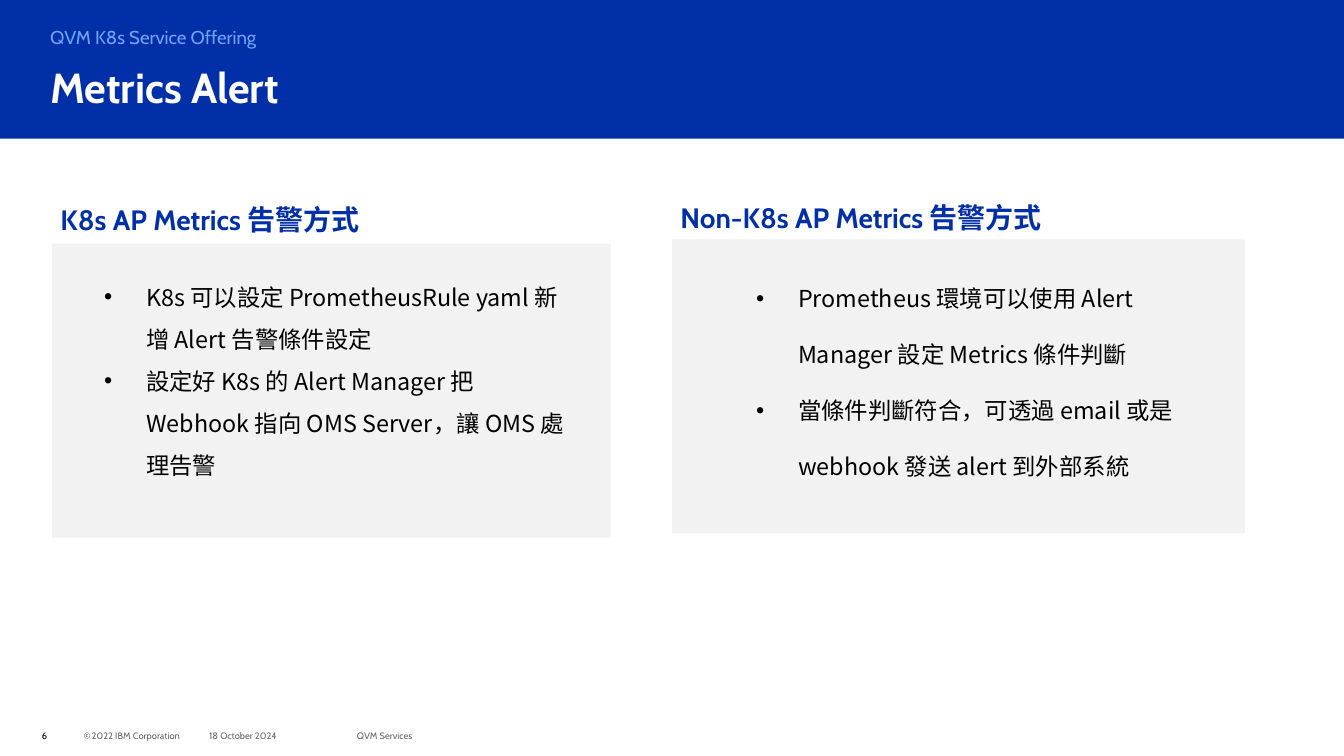
from dataclasses import dataclass
from lxml import etree
from pptx import Presentation
from pptx.dml.color import RGBColor
from pptx.enum.shapes import MSO_SHAPE
from pptx.enum.text import MSO_ANCHOR, MSO_AUTO_SIZE, PP_ALIGN
from pptx.oxml.ns import qn
from pptx.util import Inches, Pt

RECT = MSO_SHAPE.RECTANGLE
TOP, MIDDLE = MSO_ANCHOR.TOP, MSO_ANCHOR.MIDDLE
LEFT = PP_ALIGN.LEFT
FIXED = MSO_AUTO_SIZE.NONE


@dataclass(frozen=True)
class Theme:
    blue: str = "002FA7"
    sky: str = "6EA6FF"
    white: str = "FFFFFF"
    black: str = "000000"
    grey: str = "666666"
    panel: str = "F2F2F2"
    sans: str = "Cabin"
    cjk: str = "Noto Sans CJK SC"
    title: int = 36
    head: int = 24
    list: int = 20
    kicker: int = 16
    foot: int = 8
    gap: int = 4


THEME = Theme()
COLS, ROWS = 16, 9
PAD = (0.1, 0.05, 0.1, 0.05)
FLUSH = (0, 0, 0, 0)

TITLE = "Metrics Alert"
KICKER = "QVM K8s Service Offering"
TOPICS = [
    {
        "head": "K8s AP Metrics 告警方式",
        "items": [
            "K8s 可以設定 PrometheusRule yaml 新增 Alert 告警條件設定",
            "設定好 K8s 的 Alert Manager 把 Webhook 指向 OMS Server，讓 OMS 處理告警",
        ],
        "panel": (0.62, 2.9, 6.65, 3.5),
        "top": (0.62, 2.4, 6.65, 0.6),
        "body": (0.64, 3.2, 6.09, 2.8),
        "pad": FLUSH,
        "pitch": 36,
    },
    {
        "head": "Non-K8s AP Metrics 告警方式",
        "items": [
            "Prometheus 環境可以使用 Alert Manager 設定 Metrics 條件判斷",
            "當條件判斷符合，可透過 email 或是 webhook 發送 alert 到外部系統",
        ],
        "panel": (8, 2.85, 6.82, 3.5),
        "top": (8, 2.38, 6.8, 0.6),
        "body": (8.3, 3, 6.35, 2.71),
        "pad": PAD,
        "pitch": 48,
    },
]
FOOTER = [
    (0.5, 0.36, THEME.black, [("6", THEME.foot)]),
    (1, 1.4, THEME.grey, [("©", THEME.foot), (" ", THEME.gap),
                          ("2022 IBM Corporation", THEME.foot)]),
    (2.49, 1.5, THEME.grey, [("18 October 2024", THEME.foot)]),
    (4.25, 2.5, THEME.grey, [("QVM Services", THEME.foot)]),
]


def place(shape, box):
    shape.left, shape.top, shape.width, shape.height = map(Inches, box)


def frame(shape, pad=PAD, anchor=TOP):
    text = shape.text_frame
    text.word_wrap = True
    text.auto_size = FIXED
    text.vertical_anchor = anchor
    text.margin_left, text.margin_top, text.margin_right, text.margin_bottom = map(Inches, pad)
    return text


def write(para, runs, color, face, bold=False, pitch=1.0):
    para.alignment = LEFT
    para.line_spacing = pitch
    para.space_before = para.space_after = Pt(0)
    for words, size in runs:
        run = para.add_run()
        run.text = words
        font = run.font
        font.name, font.size, font.bold = face, Pt(size), bold
        font.color.rgb = RGBColor.from_string(color)
        east = etree.Element(qn("a:ea"), typeface=THEME.cjk)
        font._element.find(qn("a:latin")).addnext(east)


def mark(para, sign, left, hang):
    props = para._p.get_or_add_pPr()
    props.set("marL", str(Inches(left)))
    props.set("indent", str(Inches(hang)))
    if sign:
        etree.SubElement(props, qn("a:buFont"), typeface="Arial")
        etree.SubElement(props, qn("a:buChar"), char=sign)
    else:
        etree.SubElement(props, qn("a:buNone"))


def panel(slide, box, color):
    shape = slide.shapes.add_shape(RECT, *map(Inches, box))
    shape.shadow.inherit = False
    shape.fill.solid()
    shape.fill.fore_color.rgb = RGBColor.from_string(color)
    shape.line.fill.background()
    slide.shapes._spTree.insert(2, shape._element)


def label(slide, box, runs, color, pad, anchor=TOP, pitch=1.0):
    shape = slide.shapes.add_textbox(*map(Inches, box))
    write(frame(shape, pad, anchor).paragraphs[0], runs, color, THEME.sans, pitch=pitch)


def heading(shape, box, words, size, color):
    place(shape, box)
    para = frame(shape).paragraphs[0]
    mark(para, None, 0, 0)
    write(para, [(words, size)], color, THEME.sans, True, 0.9)


def topic(slide, top, body, data):
    panel(slide, data["panel"], THEME.panel)
    heading(top, data["top"], data["head"], THEME.head, THEME.blue)
    place(body, data["body"])
    text = frame(body, data["pad"])
    for i, item in enumerate(data["items"]):
        para = text.add_paragraph() if i else text.paragraphs[0]
        mark(para, "•", 1.1, -0.5)
        write(para, [(item, THEME.list)], THEME.black, THEME.cjk, pitch=Pt(data["pitch"]))


def main():
    deck = Presentation()
    deck.slide_width, deck.slide_height = Inches(COLS), Inches(ROWS)
    slide = deck.slides.add_slide(deck.slide_layouts[4])
    holders = slide.placeholders
    panel(slide, (0, 0, COLS, 1.65), THEME.blue)
    heading(holders[0], (0.5, 0.75, 13.5, 0.65), TITLE, THEME.title, THEME.white)
    label(slide, (0.5, 0.29, 7.2, 0.3), [(KICKER, THEME.kicker)], THEME.sky,
          (0.1, 0, 0.1, 0.05), pitch=1.05)
    for i, data in enumerate(TOPICS):
        topic(slide, holders[2 * i + 1], holders[2 * i + 2], data)
    for left, width, color, runs in FOOTER:
        label(slide, (left, 8.64, width, 0.24), runs, color, FLUSH, MIDDLE)
    deck.save("out.pptx")


if __name__ == "__main__":
    main()
